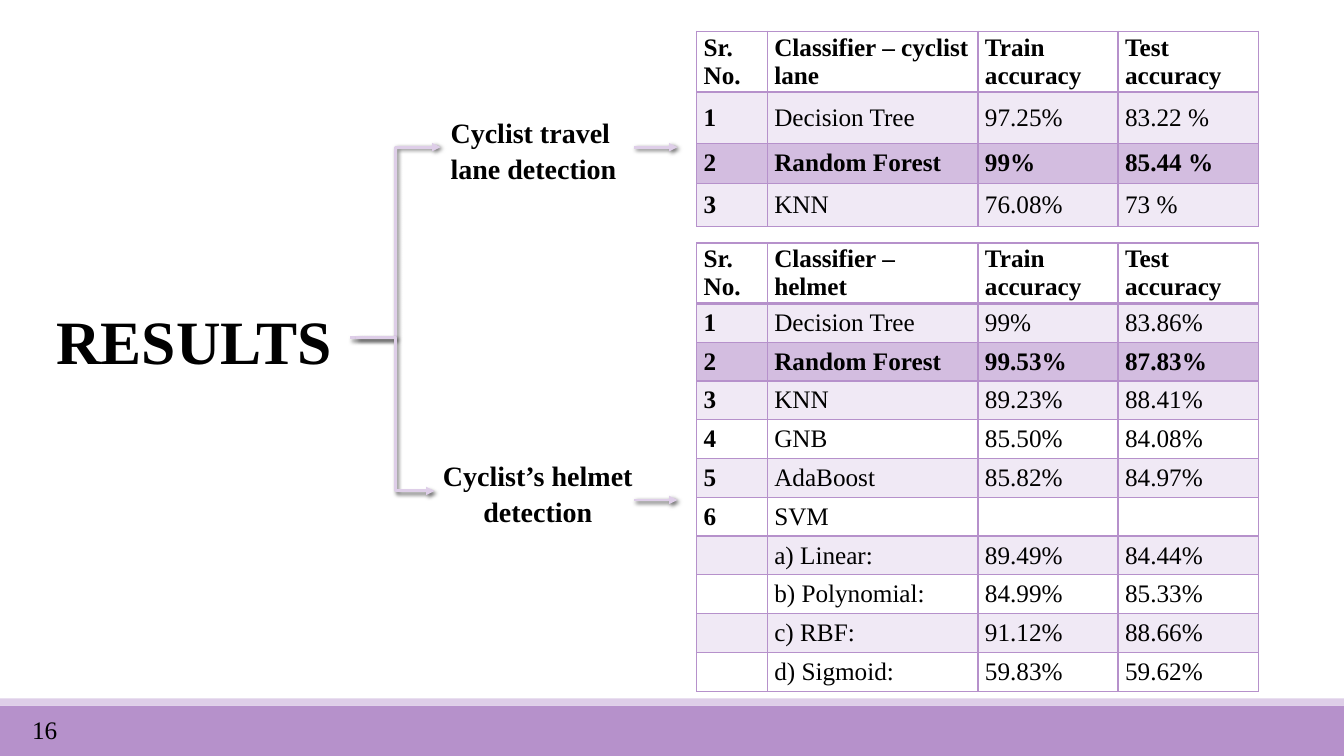
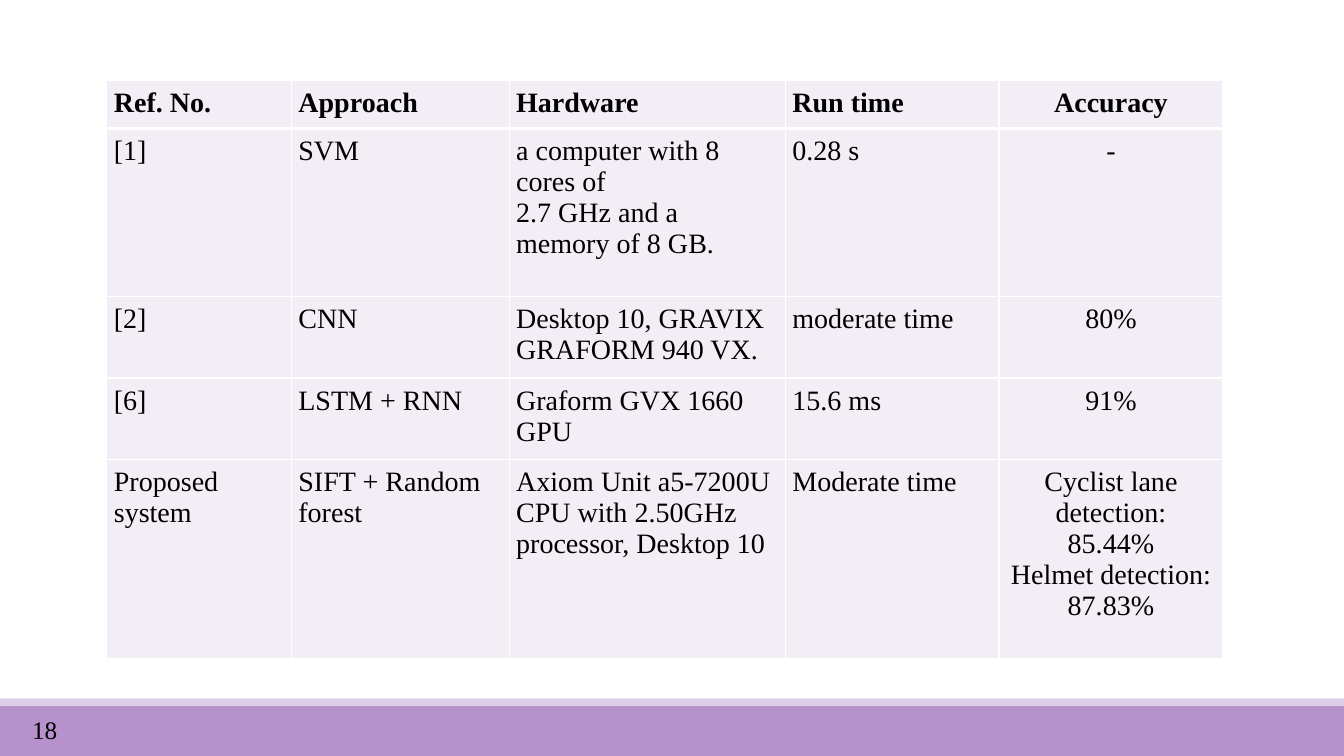
from pptx import Presentation
from pptx.dml.color import RGBColor
from pptx.enum.shapes import MSO_CONNECTOR as CONN, MSO_SHAPE
from pptx.enum.text import MSO_ANCHOR as ANCHOR, PP_ALIGN as ALIGN
from pptx.oxml import parse_xml
from pptx.oxml.ns import nsdecls
from pptx.util import Inches, Pt

BLACK = RGBColor(0x00, 0x00, 0x00)
WHITE = RGBColor(0xFF, 0xFF, 0xFF)
PURPLE = RGBColor(0xB6, 0x91, 0xCB)
LILAC = RGBColor(0xDE, 0xCE, 0xE8)
HIGHLIGHT = RGBColor(0xD3, 0xBD, 0xE0)
STRIPE = RGBColor(0xF0, 0xE9, 0xF5)
PALE = RGBColor(0xF3, 0xEE, 0xF6)
FONT = "Times New Roman"


def write(tf, text, size, bold=False, align=ALIGN.LEFT, spacing=1.0):
    """Write each line of text as a paragraph of the text frame."""
    for i, line in enumerate(text.split("\n")):
        p = tf.paragraphs[0] if i == 0 else tf.add_paragraph()
        p.alignment, p.line_spacing = align, spacing
        r = p.add_run()
        r.text = line
        for name, value in dict(name=FONT, size=Pt(size), bold=bold).items():
            setattr(r.font, name, value)
        r.font.color.rgb = BLACK


def draw_table(s, left, top, widths, heights, rows, look):
    """Draw rows of text; look["fill"] and look["bold"] take (row, column, text of row)."""
    frame = s.shapes.add_table(len(rows), len(widths), Inches(left), Inches(top),
                               Inches(sum(widths)), Inches(sum(heights)))
    table = frame.table
    table.first_row = table.horz_banding = False
    for column, width in zip(table.columns, widths):
        column.width = Inches(width)
    for row, height in zip(table.rows, heights):
        row.height = Inches(height)
    for i, row in enumerate(rows):
        for j, text in enumerate(row):
            cell = table.cell(i, j)
            for name, value in look["cell"].items():
                setattr(cell, name, value)
            align = ALIGN.CENTER if j == look["centred"] else ALIGN.LEFT
            write(cell.text_frame, text, look["size"], look["bold"](i, j, row), align)
            color = look["fill"](i, j, row)
            if color is None:
                cell.fill.background()
            else:
                cell.fill.solid()
                cell.fill.fore_color.rgb = color
            tc_pr = cell._tc.get_or_add_tcPr()
            for k, side in enumerate("LRTB"):
                thick = (i, side) in ((0, "B"), (1, "T"))
                tc_pr.insert(k, parse_xml(
                    f'<a:ln{side} {nsdecls("a")} w="{Pt(2 if thick else 1)}"><a:solidFill>'
                    f'<a:srgbClr val="{look["border"]}"/></a:solidFill></a:ln{side}>'))


prs = Presentation()
prs.slide_width, prs.slide_height = Inches(13.33), Inches(7.5)

# Bands and page number
slides = []
for number in ("16", "18"):
    s = prs.slides.add_slide(prs.slide_layouts[6])
    for top, height, color in ((7, 0.5, PURPLE), (6.93, 0.07, LILAC)):
        band = s.shapes.add_shape(MSO_SHAPE.RECTANGLE, 0, Inches(top),
                                  prs.slide_width, Inches(height))
        band.shadow.inherit = False
        band.fill.solid()
        band.fill.fore_color.rgb = color
        band.line.fill.background()
    sp = s.shapes.add_textbox(Inches(0.22), Inches(7.04), Inches(0.45), Inches(0.4))
    write(sp.text_frame, number, 18)
    slides.append(s)
results, comparison = slides

# Results: title and branch labels
labels = [
    ("RESULTS", (0.43, 1.07, 3.04, 4.56), 44, ALIGN.JUSTIFY, 0.13, ANCHOR.MIDDLE, True),
    ("Cyclist travel\nlane detection", (4.37, 1.07, 1.92, 0.77), 20, ALIGN.LEFT, 0.1,
     ANCHOR.TOP, True),
    ("Cyclist’s helmet\ndetection", (4.25, 4.48, 2.17, 0.77), 20, ALIGN.CENTER, 0.1,
     ANCHOR.TOP, False),
]
for text, box, size, align, inset, anchor, wrap in labels:
    sp = results.shapes.add_textbox(*map(Inches, box))
    tf = sp.text_frame
    for name, value in dict(word_wrap=wrap, vertical_anchor=anchor, margin_left=Inches(inset),
                            margin_right=Inches(inset)).items():
        setattr(tf, name, value)
    write(tf, text, size, True, align, 1.07)

# Results: arrows from title to labels and from labels to tables
arrows = [
    (CONN.ELBOW, 3.47, 3.35, 4.37, 1.46),
    (CONN.ELBOW, 3.53, 3.35, 4.31, 4.87),
    (CONN.STRAIGHT, 6.29, 1.46, 6.72, 1.46),
    (CONN.STRAIGHT, 6.29, 4.96, 6.72, 4.96),
]
for kind, *ends in arrows:
    arrow = results.shapes.add_connector(kind, *map(Inches, ends))
    arrow.line.color.rgb = LILAC
    arrow.line.width = Pt(2)
    arrow.line._get_or_add_ln().append(
        parse_xml(f'<a:tailEnd {nsdecls("a")} type="triangle"/>'))
    arrow._element.spPr.append(parse_xml(
        f'<a:effectLst {nsdecls("a")}><a:outerShdw blurRad="{Pt(3)}" dist="{Pt(2)}" '
        f'dir="2700000" rotWithShape="0"><a:srgbClr val="{BLACK}"><a:alpha val="60000"/>'
        '</a:srgbClr></a:outerShdw></a:effectLst>'))


def result_fill(i, j, row):
    if row[1] == "Random Forest":
        return HIGHLIGHT
    return STRIPE if i % 2 else None


result_look = dict(
    size=18, border=PURPLE, centred=None, fill=result_fill,
    bold=lambda i, j, row: i == 0 or j == 0 or row[1] == "Random Forest",
    cell=dict(vertical_anchor=ANCHOR.MIDDLE, margin_left=Inches(0.07),
              margin_right=Inches(0.07), margin_top=0, margin_bottom=0))
lane_rows = [
    ("1", "Decision Tree", "97.25%", "83.22 %"),
    ("2", "Random Forest", "99%", "85.44 %"),
    ("3", "KNN", "76.08%", "73 %"),
]
helmet_rows = [
    ("1", "Decision Tree", "99%", "83.86%"),
    ("2", "Random Forest", "99.53%", "87.83%"),
    ("3", "KNN", "89.23%", "88.41%"),
    ("4", "GNB", "85.50%", "84.08%"),
    ("5", "AdaBoost", "85.82%", "84.97%"),
    ("6", "SVM", "", ""),
    ("", "a) Linear:", "89.49%", "84.44%"),
    ("", "b) Polynomial:", "84.99%", "85.33%"),
    ("", "c) RBF:", "91.12%", "88.66%"),
    ("", "d) Sigmoid:", "59.83%", "59.62%"),
]
result_tables = [
    (0.31, "cyclist lane", lane_rows, [0.55, 0.51, 0.4, 0.43]),
    (2.41, "helmet", helmet_rows, [0.55] + [3.85 / 10] * 10),
]
for top, subject, rows, heights in result_tables:
    header = ("Sr. No.", f"Classifier – {subject}", "Train\naccuracy", "Test accuracy")
    draw_table(results, 6.91, top, [0.7, 2.09, 1.39, 1.39], heights,
               [header] + rows, result_look)

# Comparison with other systems
comparison_look = dict(
    size=20, border=WHITE, centred=4, fill=lambda i, j, row: PALE,
    bold=lambda i, j, row: i == 0,
    cell={f"margin_{side}": Inches(0.07) for side in ("left", "right", "top", "bottom")})
comparison_rows = [
    ("Ref. No.", "Approach", "Hardware", "Run time", "Accuracy"),
    ("[1]", "SVM", "a computer with 8 cores of\n2.7 GHz and a memory of 8 GB.", "0.28 s", "-"),
    ("[2]", "CNN", "Desktop 10, GRAVIX\nGRAFORM 940 VX.", "moderate time", "80%"),
    ("[6]", "LSTM + RNN", "Graform GVX 1660 GPU", "15.6 ms", "91%"),
    ("Proposed\nsystem", "SIFT + Random forest",
     "Axiom Unit a5-7200U CPU with 2.50GHz processor, Desktop 10", "Moderate time",
     "Cyclist lane detection:\n85.44%\nHelmet detection: 87.83%"),
]
draw_table(comparison, 1.06, 0.8, [1.83, 2.16, 2.74, 2.12, 2.22],
           [0.44, 1.67, 0.74, 0.75, 1.98], comparison_rows, comparison_look)

prs.save("out.pptx")
